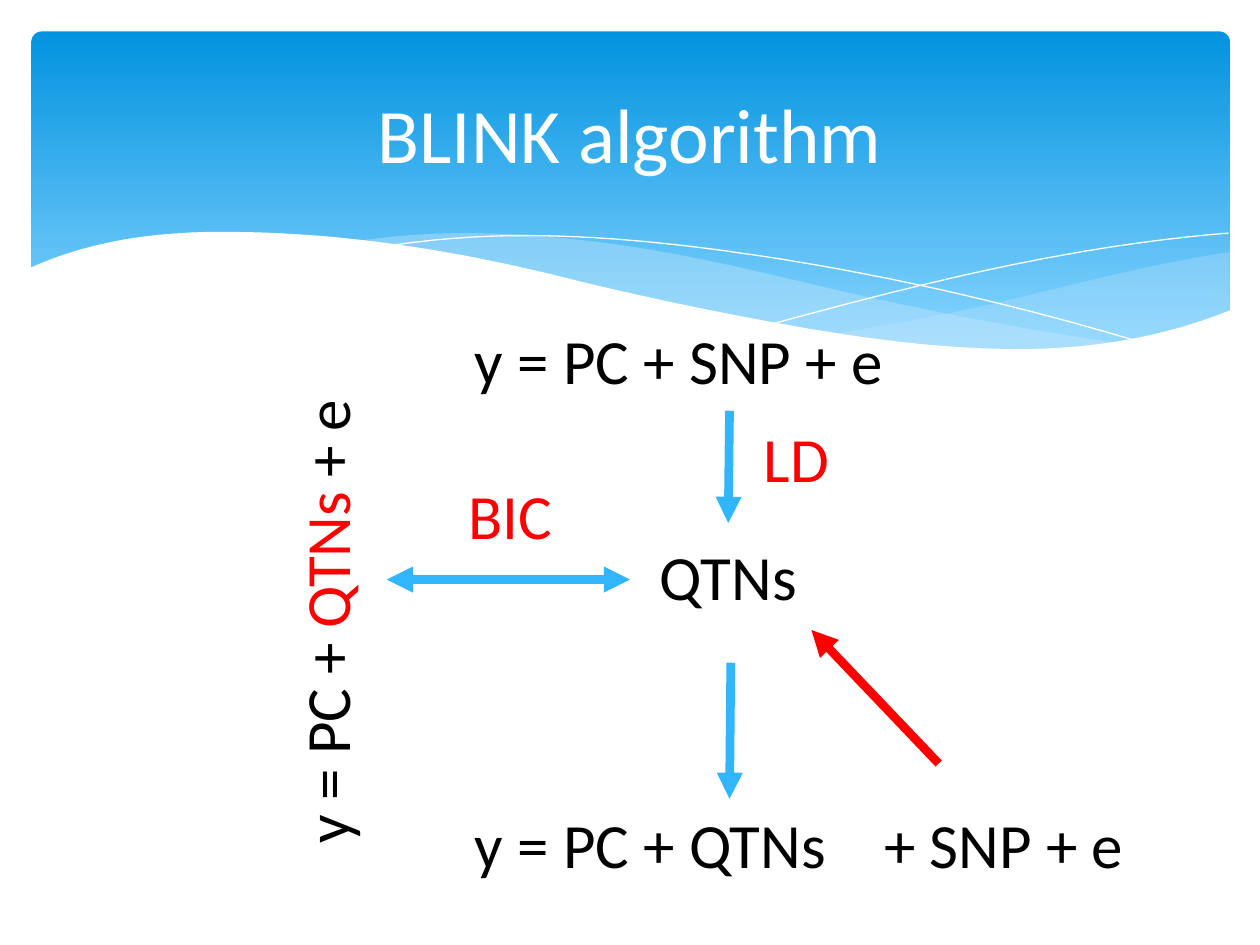
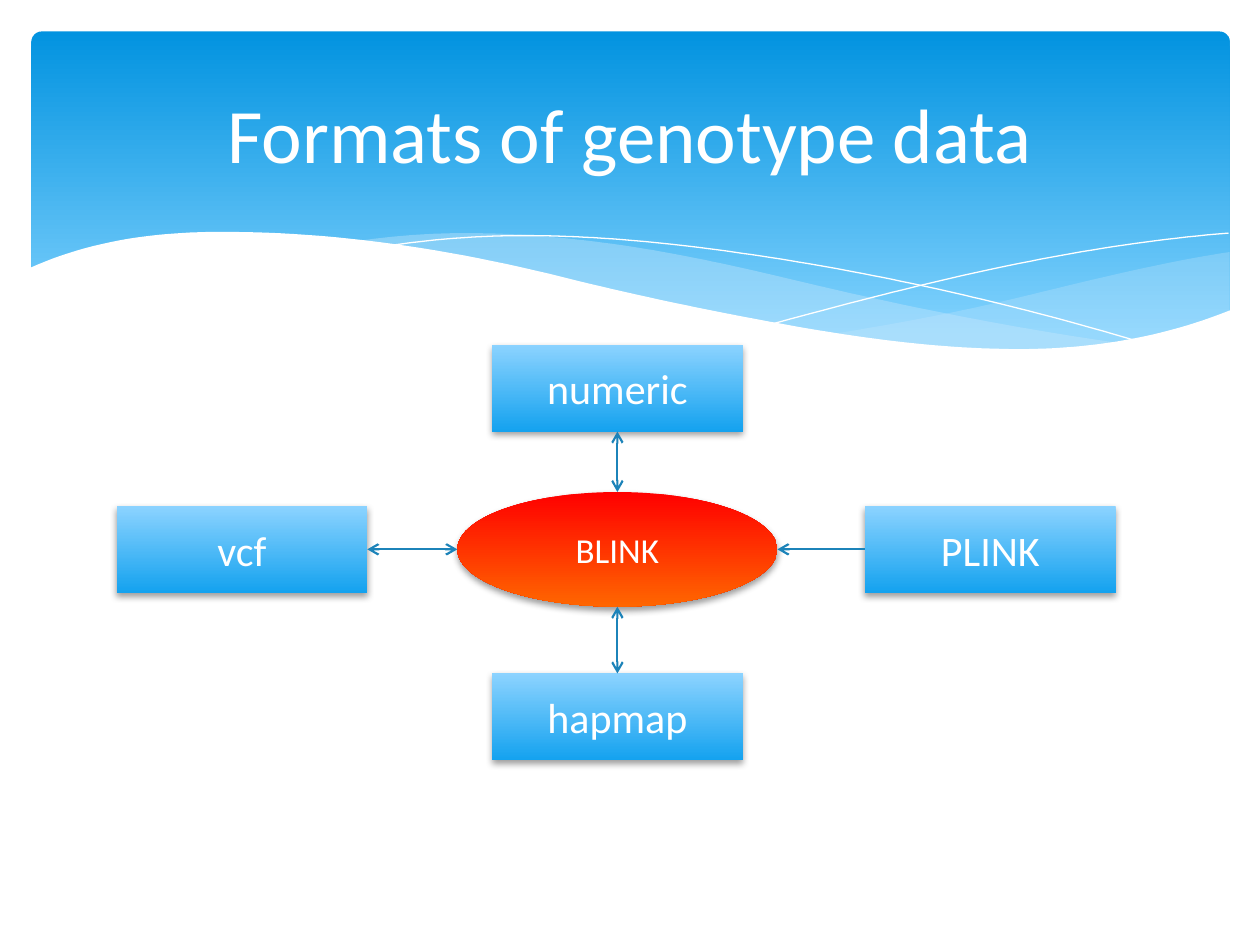
from lxml import etree
from pptx import Presentation
from pptx import util as u
from pptx.dml.color import RGBColor
from pptx.enum import shapes, text
from pptx.oxml import ns

WHITE = RGBColor(0xFF, 0xFF, 0xFF)
BLACK = RGBColor(0x00, 0x00, 0x00)
RED = RGBColor(0xFF, 0x00, 0x00)
ORANGE = RGBColor(0xFF, 0x66, 0x00)
SKY = RGBColor(0x31, 0xB6, 0xFD)
STEEL = RGBColor(0x1C, 0x83, 0xB9)
MIST = RGBColor(0xC6, 0xE7, 0xFC)
BAND_TOP = RGBColor(0x02, 0x93, 0xE0)
BAND_END = RGBColor(0x83, 0xD3, 0xFE)
NODE_TOP = RGBColor(0x8C, 0xD3, 0xFF)
NODE_END = RGBColor(0x14, 0xA2, 0xEF)

CENTER, LEFT = text.PP_ALIGN.CENTER, text.PP_ALIGN.LEFT
MIDDLE, TOP = text.MSO_ANCHOR.MIDDLE, text.MSO_ANCHOR.TOP
OVAL, BOX = shapes.MSO_SHAPE.OVAL, shapes.MSO_SHAPE.RECTANGLE
SIDE_TOP, SIDE_LEFT, SIDE_BOTTOM, SIDE_RIGHT = range(4)

HEADINGS = ["BLINK algorithm", "Formats of genotype data"]
UNITS_PER_INCH = 1000
CURVE_STEPS = 24

# Each knot is (x, y, slope); a cubic curve joins each knot to the next.
WAVES = [
    {"upper": [(6.61, 2.65, -0.16), (8.05, 2.37, -0.24), (9.76, 2, -0.15)],
     "lower": [(6.61, 2.65, 0.13), (8.09, 2.78, 0), (9.76, 2.47, -0.4)],
     "color": MIST, "opacity": 29},
    {"upper": [(2.86, 1.91, -0.14), (3.7, 1.85, 0), (4.89, 1.94, 0.14),
               (6.29, 2.22, 0.24), (8.93, 2.73, 0.14)],
     "lower": [(2.86, 1.91, 0.14), (4.49, 2.22, 0.25), (6.34, 2.61, 0.17),
               (8.2, 2.78, 0), (8.93, 2.73, -0.11)],
     "color": MIST, "opacity": 40},
    {"upper": [(3.09, 1.95, -0.15), (4.16, 1.87, 0), (5.82, 2, 0.14),
               (7.6, 2.33, 0.23), (9.07, 2.72, 0.3)],
     "lower": [], "color": None, "opacity": 100},
    {"upper": [(6.13, 2.57, -0.27), (7.76, 2.16, -0.22), (9.75, 1.85, -0.08)],
     "lower": [], "color": None, "opacity": 100},
    {"upper": [(0.23, 2.13, -0.45), (1.77, 1.84, 0), (4.47, 2.2, 0.25),
               (6.26, 2.58, 0.18), (8.09, 2.77, 0), (9.77, 2.46, -0.4)],
     "lower": [(0.23, 3.29, 0), (9.77, 3.29, 0)],
     "color": WHITE, "opacity": 100},
]


def write(frame, runs, size, align=CENTER, anchor=TOP, tab=None):
    for name, value in {"word_wrap": True, "vertical_anchor": anchor}.items():
        setattr(frame, name, value)
    line = frame.paragraphs[0]
    line.alignment = align
    if tab:
        stops = etree.SubElement(line._p.get_or_add_pPr(), ns.qn("a:tabLst"))
        etree.SubElement(stops, ns.qn("a:tab"), pos=str(u.Inches(tab)), algn="l")
    for words, color in runs:
        run = line.add_run()
        run.text = words
        for name, value in {"name": "Calibri", "size": u.Pt(size)}.items():
            setattr(run.font, name, value)
        run.font.color.rgb = color


def paint_gradient(shape, top, end, stop=1):
    shape.shadow.inherit = False
    shape.line.fill.background()
    shape.fill.gradient()
    shape.fill.gradient_angle = 270
    for mark, color, position in zip(shape.fill.gradient_stops, (top, end), (0, stop)):
        mark.color.rgb = color
        mark.position = position


wave_outlines = []
for wave in WAVES:
    edges = []
    for knots in (wave["upper"], wave["lower"]):
        edge = []
        for (x0, y0, slope0), (x1, y1, slope1) in zip(knots, knots[1:]):
            width = x1 - x0
            for step in range(CURVE_STEPS + 1):
                t = step / CURVE_STEPS
                blend = t * t * (3 - 2 * t)
                bend = t * (1 - t) * ((1 - t) * slope0 - t * slope1)
                x = x0 + t * width
                y = y0 + blend * (y1 - y0) + bend * width
                edge.append((x * UNITS_PER_INCH, y * UNITS_PER_INCH))
        edges.append(edge)
    upper_edge, lower_edge = edges
    wave_outlines.append(upper_edge + lower_edge[::-1])

prs = Presentation()
prs.slide_width, prs.slide_height = u.Inches(10), u.Inches(7.5)
pages = []
for heading in HEADINGS:
    page = prs.slides.add_slide(prs.slide_layouts[6])
    pages.append(page)
    band = page.shapes.add_shape(shapes.MSO_SHAPE.ROUNDED_RECTANGLE,
                                 *map(u.Inches, (0.25, 0.25, 9.51, 2.7)))
    band.adjustments[0] = 0.03
    paint_gradient(band, BAND_TOP, BAND_END, 0.9)
    for wave, outline in zip(WAVES, wave_outlines):
        pen = page.shapes.build_freeform(*outline[0], scale=u.Inches(1) / UNITS_PER_INCH)
        pen.add_line_segments(outline[1:], close=bool(wave["lower"]))
        ripple = pen.convert_to_shape()
        ripple.shadow.inherit = False
        if wave["color"] is None:
            ripple.fill.background()
            ripple.line.color.rgb = WHITE
            ripple.line.width = u.Pt(0)
        else:
            ripple.line.fill.background()
            ripple.fill.solid()
            ripple.fill.fore_color.rgb = wave["color"]
        if wave["opacity"] < 100:
            tint = ripple._element.spPr.find(".//" + ns.qn("a:srgbClr"))
            etree.SubElement(tint, ns.qn("a:alpha"), val=str(wave["opacity"] * 1000))
    title = page.shapes.add_textbox(*map(u.Inches, (0.5, 0.37, 9, 1.37)))
    write(title.text_frame, [(heading, WHITE)], 44, anchor=MIDDLE)

algorithm, formats = pages

FORMULA_LEFT, FORMULA_HEIGHT = 3.67, 0.71
FORMULAS = [
    ((FORMULA_LEFT, 6.34, 5.54), 0, LEFT, 3.25, [("y = PC + QTNs\t+ SNP + e", BLACK)]),
    ((0.47, 4.58, 4.23), 270, CENTER, None,
     [("y = PC + ", BLACK), ("QTNs", RED), (" + e", BLACK)]),
    ((4.67, 4.22, 2.22), 0, CENTER, None, [("QTNs", BLACK)]),
    ((3.43, 3.73, 1.24), 0, CENTER, None, [("BIC", RED)]),
    ((FORMULA_LEFT, 2.5, 4.02), 0, LEFT, None, [("y = PC + SNP + e", BLACK)]),
    ((5.7, 3.28, 1.24), 0, CENTER, None, [("LD", RED)]),
]
for place, turn, align, tab, runs in FORMULAS:
    formula = algorithm.shapes.add_textbox(*map(u.Inches, (*place, FORMULA_HEIGHT)))
    formula.rotation = turn
    write(formula.text_frame, runs, 36, align, tab=tab)

flow = {"color": SKY, "width": 5, "head": None, "tail": "triangle"}
feedback = {**flow, "color": RED, "head": "triangle", "tail": None}
exchange = {**flow, "head": "triangle"}
two_way = {"color": STEEL, "width": 1.25, "head": "arrow", "tail": "arrow"}
import_only = {**two_way, "tail": None}

arrows = [
    (algorithm, (5.8, 5.26), (5.79, 6.34), None, flow),
    (algorithm, (6.44, 5), (7.45, 6.06), None, feedback),
    (algorithm, (3.07, 4.6), (5, 4.6), None, exchange),
    (algorithm, (5.79, 3.26), (5.78, 4.15), None, flow),
]

HUB_X, HUB_Y = 4.9, 4.36
HUB_SIZE, FORMAT_SIZE = (2.54, 0.91), (1.99, 0.69)
HUB_COLORS, FORMAT_COLORS = (RED, ORANGE), (NODE_TOP, NODE_END)
nodes = [("BLINK", OVAL, (HUB_X, HUB_Y), HUB_SIZE, 20, HUB_COLORS, None)]
for label, (across, down), distance, facing_side, style in [
    ("numeric", (0, -1), 1.28, SIDE_BOTTOM, two_way),
    ("vcf", (-1, 0), 2.98, SIDE_RIGHT, two_way),
    ("hapmap", (0, 1), 1.33, SIDE_TOP, two_way),
    ("PLINK", (1, 0), 2.96, SIDE_LEFT, import_only),
]:
    center = (HUB_X + across * distance, HUB_Y + down * distance)
    hub_edge = (HUB_X + across * HUB_SIZE[0] / 2, HUB_Y + down * HUB_SIZE[1] / 2)
    nodes.append((label, BOX, center, FORMAT_SIZE, 24, FORMAT_COLORS,
                  (hub_edge, facing_side, style)))

for label, outline, (x, y), (width, height), size, colors, link in nodes:
    node = formats.shapes.add_shape(
        outline, *map(u.Inches, (x - width / 2, y - height / 2, width, height)))
    paint_gradient(node, *colors)
    effects = node._element.spPr.find(ns.qn("a:effectLst"))
    shadow = etree.SubElement(effects, ns.qn("a:outerShdw"), blurRad=str(u.Pt(4)),
                              dist=str(u.Pt(2)), dir="5400000", rotWithShape="0")
    shade = etree.SubElement(shadow, ns.qn("a:srgbClr"), val=str(BLACK))
    etree.SubElement(shade, ns.qn("a:alpha"), val="38000")
    write(node.text_frame, [(label, WHITE)], size, anchor=MIDDLE)
    if link:
        hub_edge, facing_side, style = link
        arrows.append((formats, hub_edge, (x, y), (node, facing_side), style))

for page, start, end, target, style in arrows:
    arrow = page.shapes.add_connector(shapes.MSO_CONNECTOR.STRAIGHT,
                                      *map(u.Inches, (*start, *end)))
    if target:
        arrow.end_connect(*target)
    arrow.line.color.rgb = style["color"]
    arrow.line.width = u.Pt(style["width"])
    properties = arrow._element.spPr
    for tip in ("head", "tail"):
        if style[tip]:
            etree.SubElement(properties.find(ns.qn("a:ln")), ns.qn(f"a:{tip}End"),
                             type=style[tip])
    etree.SubElement(properties, ns.qn("a:effectLst"))

prs.save("out.pptx")
